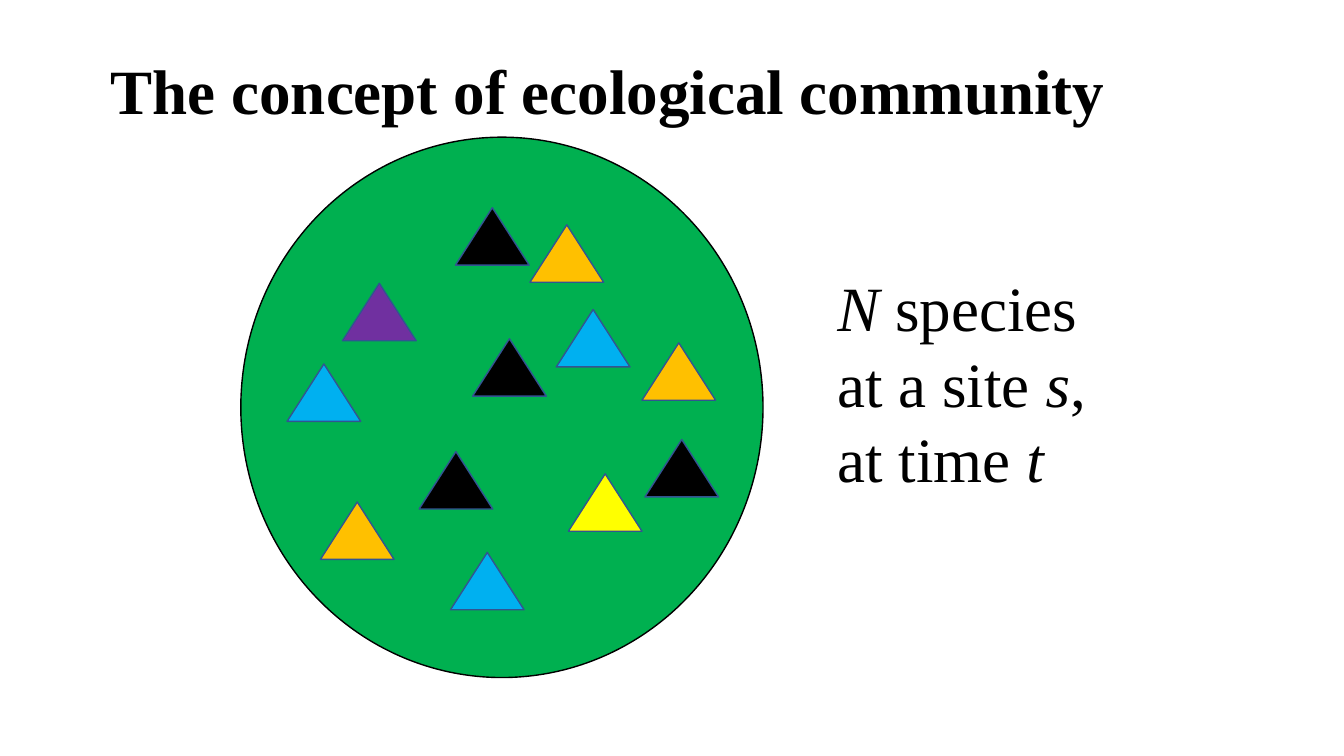
from pptx import Presentation
from pptx.dml.color import RGBColor
from pptx.enum.shapes import MSO_SHAPE
from pptx.enum.text import MSO_ANCHOR, MSO_AUTO_SIZE, PP_ALIGN
from pptx.oxml.xmlchemy import OxmlElement
from pptx.util import Pt

INK = {"black": "000000", "green": "00B050", "purple": "7030A0", "yellow": "FFFF00",
       "orange": "FFC000", "blue": "00B0F0", "edge": "325491"}
FONT, SIZE = "Times New Roman", 45
SPECIES = [
    ("purple", 72.7, 104.4), ("black", 165.6, 144), ("black", 153.4, 50.4),
    ("black", 127.4, 224.6), ("yellow", 234, 240.5), ("orange", 56.9, 260.6),
    ("orange", 286.6, 146.9), ("orange", 206.6, 62.6), ("blue", 225.4, 123.1),
    ("black", 288.7, 216), ("blue", 33.1, 162), ("blue", 149.8, 296.6),
]
NOTE = [
    [("N ", True), ("species", False)],
    [("at a site ", False), ("s", True), (",", False)],
    [("at time ", False), ("t", True)],
]


def tint(name):
    """Return the named colour."""
    return RGBColor.from_string(INK[name])


def place(shape, box):
    """Move a shape to a box given in points."""
    shape.left, shape.top, shape.width, shape.height = map(Pt, box)


def setup(holder, box, inset):
    """Place a text holder and return its top-aligned frame."""
    place(holder, box)
    frame = holder.text_frame
    frame.word_wrap = True
    frame.auto_size = MSO_AUTO_SIZE.NONE
    frame.vertical_anchor = MSO_ANCHOR.TOP
    frame.margin_top = Pt(inset)
    return frame


def style(para, bold=False):
    """Set the shared type style of a paragraph."""
    para.alignment = PP_ALIGN.LEFT
    para.line_spacing = 1.0
    para.space_before = Pt(0)
    font = para.font
    font.name, font.size, font.bold = FONT, Pt(SIZE), bold
    font.color.rgb = tint("black")


def head(slide, box):
    """Fill the title."""
    frame = setup(slide.shapes.title, box, 8)
    frame.text = "The concept of ecological community"
    style(frame.paragraphs[0], True)


def draw(slide, kind, box, fill, edge):
    """Add one filled shape with a thin outline."""
    shape = slide.shapes.add_shape(kind, *map(Pt, box))
    shape.shadow.inherit = False
    shape.fill.solid()
    shape.fill.fore_color.rgb = tint(fill)
    shape.line.color.rgb = tint(edge)
    shape.line.width = Pt(1)


def site(slide, box):
    """Draw the site and the species inside it."""
    left, top = box[:2]
    draw(slide, MSO_SHAPE.OVAL, box, "green", "black")
    for fill, x, y in SPECIES:
        draw(slide, MSO_SHAPE.ISOSCELES_TRIANGLE, (left + x, top + y, 52.6, 41), fill, "edge")


def note(slide, box):
    """Write the definition beside the site."""
    frame = setup(slide.placeholders[1], box, 6)
    for i, parts in enumerate(NOTE):
        para = frame.add_paragraph() if i else frame.paragraphs[0]
        props = para._p.get_or_add_pPr()
        props.set("marL", "0")
        props.set("indent", "0")
        props.append(OxmlElement("a:buNone"))
        style(para)
        para.line_spacing = Pt(54)
        for text, slant in parts:
            run = para.add_run()
            run.text = text
            run.font.italic = slant


def main():
    """Build and save the slide."""
    deck = Presentation()
    deck.slide_width, deck.slide_height = Pt(960), Pt(540)
    slide = deck.slides.add_slide(deck.slide_layouts[1])
    head(slide, (72, 28.8, 888, 62))
    site(slide, (172, 98, 373, 386))
    note(slide, (591, 185.8, 358, 170.6))
    deck.save("out.pptx")


if __name__ == "__main__":
    main()
